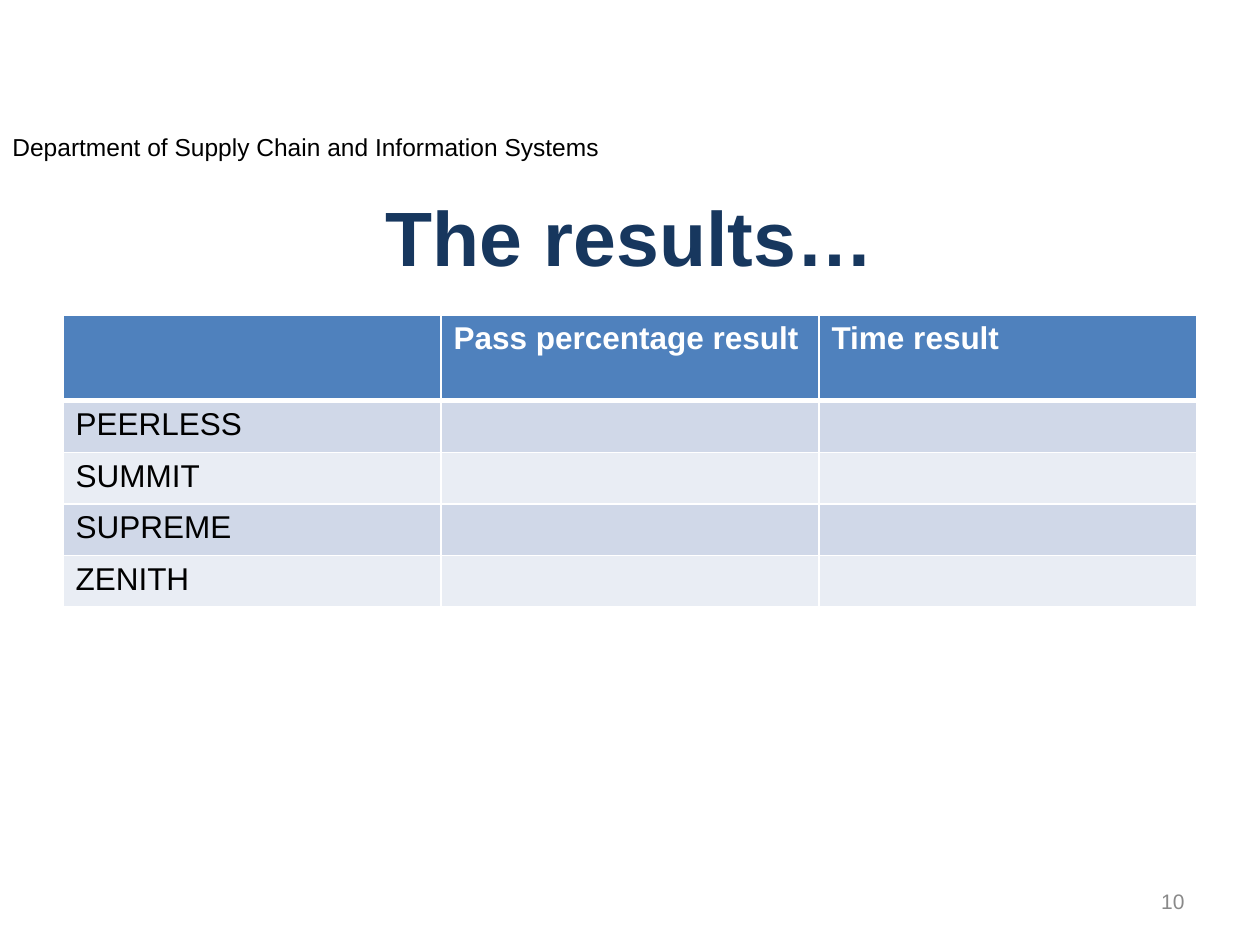
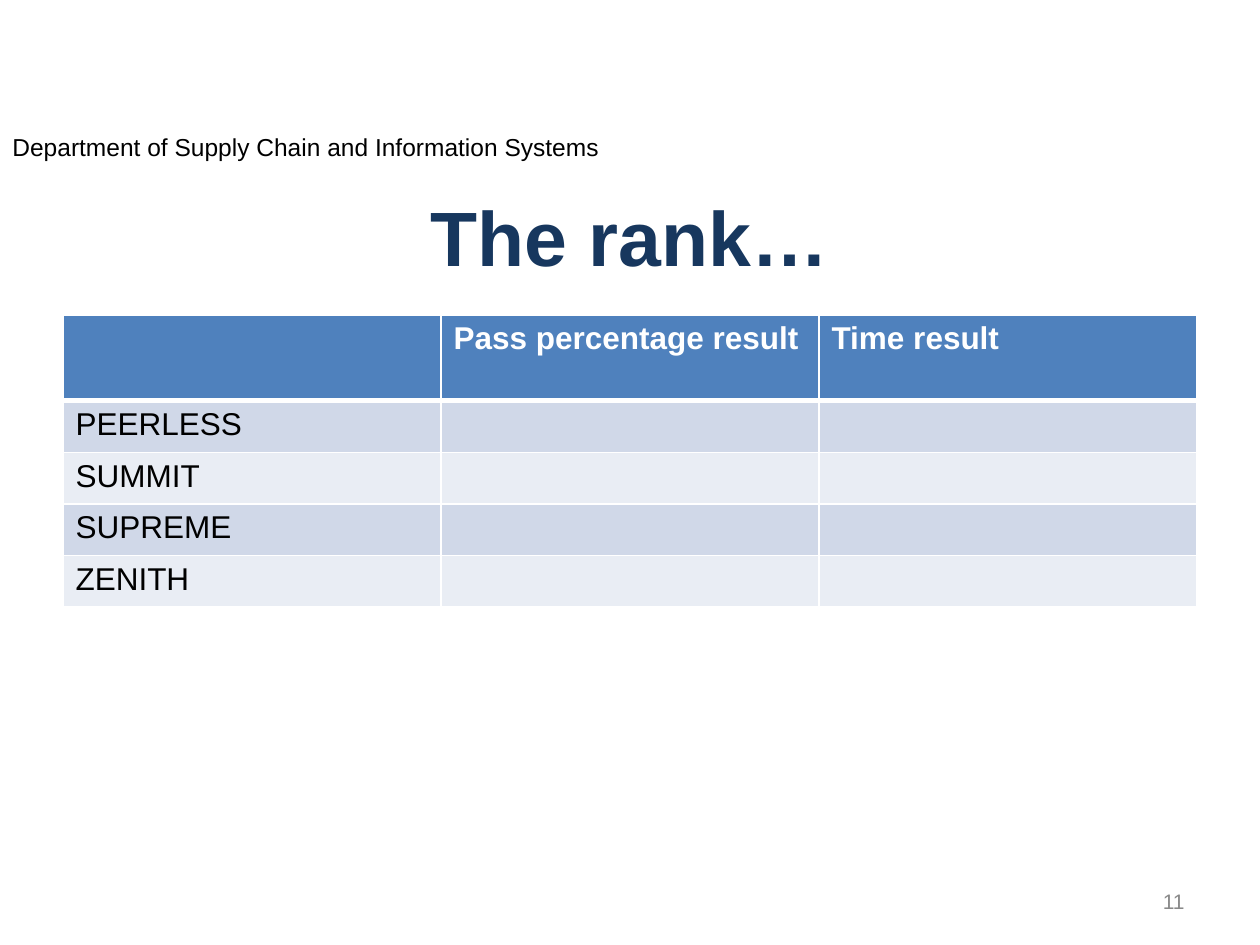
from dataclasses import dataclass

from lxml import etree
from pptx import Presentation
from pptx import util as u
from pptx.dml import color
from pptx.enum import text
from pptx.oxml import ns

WIDTH, HEIGHT = u.Inches(10), u.Inches(7.5)
FONT = "Arial"
BLACK, WHITE, NAVY, GREY = "000000", "FFFFFF", "17375E", "898989"
HEADER_FILL = "4F81BD"
BAND_FILLS = ("D0D8E8", "E9EDF4")
DEPARTMENT = "Department of Supply Chain and Information Systems"
HEADINGS = ("", "Pass percentage result", "Time result")
SUPPLIERS = ("PEERLESS", "SUMMIT", "SUPREME", "ZENITH")
HEADER_HEIGHT, ROW_HEIGHT = u.Inches(0.68), u.Inches(0.41)
THIN, THICK = u.Pt(1), u.Pt(3)


@dataclass(frozen=True)
class Area:
    left: float
    top: float
    width: float
    height: float

    def lengths(self) -> tuple[int, int, int, int]:
        return (round(self.left * WIDTH), round(self.top * HEIGHT),
                round(self.width * WIDTH), round(self.height * HEIGHT))


@dataclass(frozen=True)
class TextStyle:
    size: int
    colour: str
    bold: bool = False
    align: text.PP_ALIGN = text.PP_ALIGN.LEFT
    anchor: text.MSO_ANCHOR = text.MSO_ANCHOR.TOP


@dataclass(frozen=True)
class TableSlide:
    title: str
    number: int


MARGIN = 0.05
CONTENT_WIDTH = 1 - 2 * MARGIN
BAND_AREA = Area(0, 2 / 15, 1, 0.045)
TITLE_AREA = Area(MARGIN, 0.1775, CONTENT_WIDTH, 0.144)
TABLE_AREA = Area(MARGIN, 1 / 3, CONTENT_WIDTH, 0.31)
NUMBER_AREA = Area(0.717, 0.927, 0.233, 0.053)

BAND_STYLE = TextStyle(14, BLACK)
TITLE_STYLE = TextStyle(44, NAVY, True, text.PP_ALIGN.CENTER, text.MSO_ANCHOR.MIDDLE)
NUMBER_STYLE = TextStyle(12, GREY, align=text.PP_ALIGN.RIGHT, anchor=text.MSO_ANCHOR.MIDDLE)
HEADER_STYLE = TextStyle(18, WHITE, True)
BODY_STYLE = TextStyle(18, BLACK)

SLIDES = (TableSlide("The results…", 10), TableSlide("The rank…", 11))


def rgb(value: str) -> color.RGBColor:
    return color.RGBColor.from_string(value)


def write(frame, wording: str, style: TextStyle) -> None:
    frame.word_wrap = True
    frame.vertical_anchor = style.anchor
    paragraph = frame.paragraphs[0]
    paragraph.text = wording
    paragraph.alignment = style.align
    font = paragraph.font
    font.name, font.size, font.bold = FONT, u.Pt(style.size), style.bold
    font.color.rgb = rgb(style.colour)


def add_text(slide, area: Area, wording: str, style: TextStyle) -> None:
    write(slide.shapes.add_textbox(*area.lengths()).text_frame, wording, style)


def set_borders(cell, top: int, bottom: int) -> None:
    properties = cell._tc.get_or_add_tcPr()
    for side, width in (("L", THIN), ("R", THIN), ("T", top), ("B", bottom)):
        line = etree.SubElement(properties, ns.qn(f"a:ln{side}"), w=str(width))
        fill = etree.SubElement(line, ns.qn("a:solidFill"))
        etree.SubElement(fill, ns.qn("a:srgbClr"), val=WHITE)


def add_comparison_table(slide) -> None:
    rows = [HEADINGS] + [(name, "", "") for name in SUPPLIERS]
    table = slide.shapes.add_table(len(rows), len(HEADINGS), *TABLE_AREA.lengths()).table
    for row_index, row in enumerate(rows):
        header = row_index == 0
        table.rows[row_index].height = HEADER_HEIGHT if header else ROW_HEIGHT
        fill = HEADER_FILL if header else BAND_FILLS[(row_index - 1) % 2]
        for column_index, wording in enumerate(row):
            cell = table.cell(row_index, column_index)
            set_borders(cell, THICK if row_index == 1 else THIN, THICK if header else THIN)
            cell.fill.solid()
            cell.fill.fore_color.rgb = rgb(fill)
            write(cell.text_frame, wording, HEADER_STYLE if header else BODY_STYLE)


def add_slide(presentation, content: TableSlide) -> None:
    slide = presentation.slides.add_slide(presentation.slide_layouts[6])
    add_text(slide, BAND_AREA, DEPARTMENT, BAND_STYLE)
    add_text(slide, TITLE_AREA, content.title, TITLE_STYLE)
    add_comparison_table(slide)
    add_text(slide, NUMBER_AREA, str(content.number), NUMBER_STYLE)


def main() -> None:
    presentation = Presentation()
    presentation.slide_width, presentation.slide_height = WIDTH, HEIGHT
    for content in SLIDES:
        add_slide(presentation, content)
    presentation.save("out.pptx")


main()
